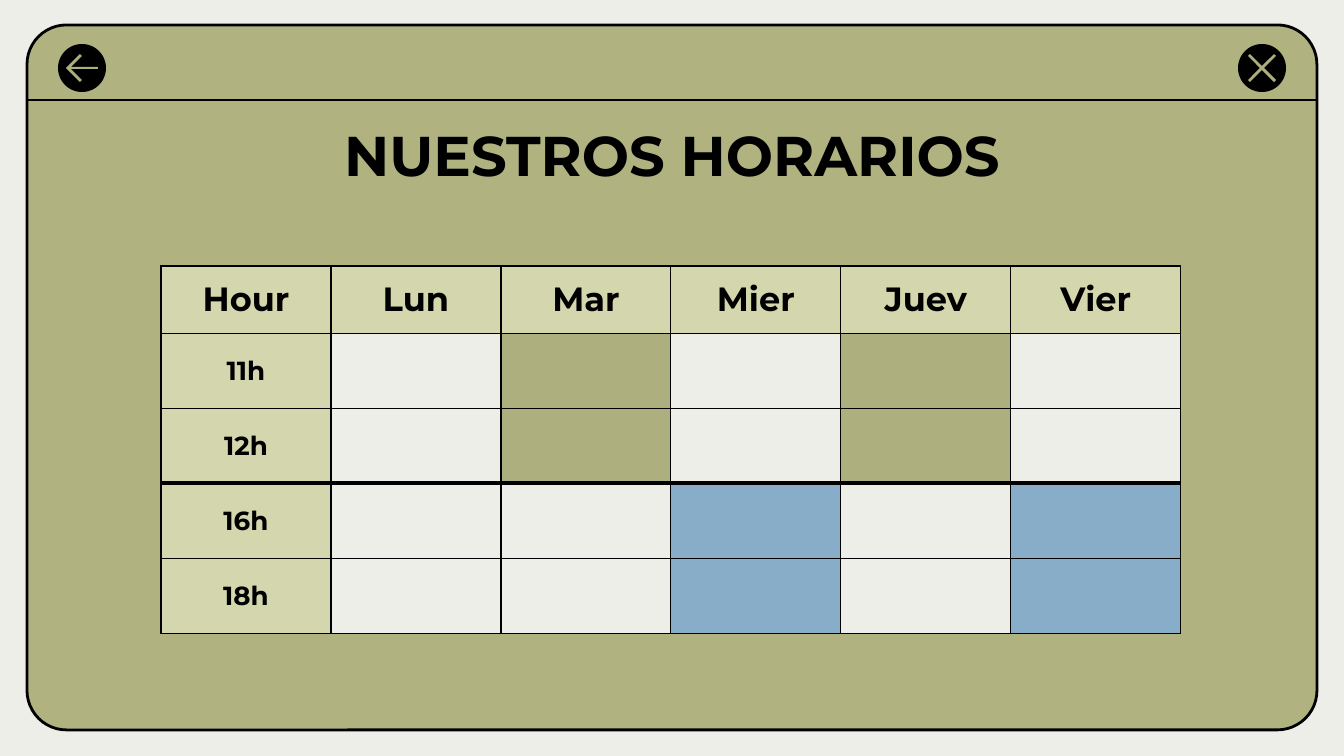
from lxml import etree
from pptx import Presentation
from pptx.dml.color import RGBColor
from pptx.enum.shapes import MSO_CONNECTOR, MSO_SHAPE
from pptx.enum.text import MSO_ANCHOR, PP_ALIGN
from pptx.oxml import parse_xml
from pptx.oxml.ns import nsdecls, qn
from pptx.util import Emu, Pt

SCALE = 9144000 / 1344
COLORS = {
    "paper": "EEEEE9",
    "window": "B0B380",
    "olive": "ADAF7E",
    "header": "D4D7AD",
    "blue": "88ADC8",
    "ink": "000000",
}


def px(*lengths):
    """Turn px lengths into a list of EMU."""
    return [Emu(round(length * SCALE)) for length in lengths]


def paint(shape, color):
    shape.shadow.inherit = False
    shape.fill.solid()
    shape.fill.fore_color.rgb = RGBColor.from_string(COLORS[color])
    shape.line.fill.background()


ink = RGBColor.from_string(COLORS["ink"])
prs = Presentation()
prs.slide_width, prs.slide_height = px(1344, 756)
slide = prs.slides.add_slide(prs.slide_layouts[6])
slide.background.fill.solid()
slide.background.fill.fore_color.rgb = RGBColor.from_string(COLORS["paper"])
shapes = slide.shapes

# Window frame and its top bar
window = shapes.add_shape(MSO_SHAPE.ROUNDED_RECTANGLE, *px(27, 25, 1290, 705))
window.adjustments[0] = 0.056
paint(window, "window")
bar_edge = shapes.add_connector(MSO_CONNECTOR.STRAIGHT, *px(27, 100, 1317, 100))
etree.SubElement(bar_edge._element.spPr, qn("a:effectLst"))
for outlined in (window, bar_edge):
    outlined.line.color.rgb = ink
    outlined.line.width = Pt(1.5)

# Round buttons, with icon outlines measured from the button's centre
cross = [(-12, -14), (-14, -12), (-2, 0), (-14, 12), (-12, 14), (0, 2),
         (12, 14), (14, 12), (2, 0), (14, -12), (12, -14), (0, -2)]
back_arrow = [(-2, -14), (-16, 0), (-2, 14), (0, 12), (-11, 1),
              (16, 1), (16, -1), (-11, -1), (0, -12)]
button_y, radius = 68, 24
for button_x, outline in ((1262, cross), (82, back_arrow)):
    button = shapes.add_shape(
        MSO_SHAPE.OVAL,
        *px(button_x - radius, button_y - radius, 2 * radius, 2 * radius))
    paint(button, "ink")
    points = [(button_x + dx, button_y + dy) for dx, dy in outline]
    builder = shapes.build_freeform(*points[0], scale=SCALE)
    builder.add_line_segments(points[1:], close=True)
    paint(builder.convert_to_shape(), "olive")

# Title
title = shapes.add_textbox(*px(105, 121, 1134, 83)).text_frame
title.word_wrap = True
title.vertical_anchor = MSO_ANCHOR.MIDDLE
title.margin_left = title.margin_right = title.margin_top = title.margin_bottom = Pt(7.2)
title.text = "NUESTROS HORARIOS"
heading = title.paragraphs[0]
heading.alignment = PP_ALIGN.CENTER
heading.line_spacing = 0.7
heading.runs[0].font.size = Pt(30)

# Timetable
days = ["Hour", "Lun", "Mar", "Mier", "Juev", "Vier"]
hours = ["11h", "12h", "16h", "18h"]
morning = ["header", "paper", "olive", "paper", "olive", "paper"]
afternoon = ["header", "paper", "paper", "blue", "paper", "blue"]
fills = [["header"] * 6, morning, morning, afternoon, afternoon]
row_heights = px(67, 75, 75, 75, 75)
last_morning_row = 2

timetable = shapes.add_table(5, 6, *px(161, 266, 1021, 367)).table
timetable.first_row = timetable.horz_banding = False
for column, width in zip(timetable.columns, px(*[170] * 6)):
    column.width = width
for r, row in enumerate(timetable.rows):
    row.height = row_heights[r]
    for c, cell in enumerate(row.cells):
        cell.vertical_anchor = MSO_ANCHOR.MIDDLE
        cell.margin_left = cell.margin_right = cell.margin_top = cell.margin_bottom = Pt(7.2)
        if r == 0 or c == 0:
            cell.text = days[c] if r == 0 else hours[r - 1]
            label = cell.text_frame.paragraphs[0]
            label.alignment = PP_ALIGN.CENTER
            label.runs[0].font.size = Pt(18 if r == 0 else 14)
        for side in ("lnL", "lnR", "lnT", "lnB"):
            thick = (r, side) in ((last_morning_row, "lnB"), (last_morning_row + 1, "lnT"))
            cell._tc.get_or_add_tcPr().append(parse_xml(
                f'<a:{side} {nsdecls("a")} w="{Pt(2.25 if thick else 0.75)}"><a:solidFill>'
                f'<a:srgbClr val="{COLORS["ink"]}"/></a:solidFill></a:{side}>'))
        cell.fill.solid()
        cell.fill.fore_color.rgb = RGBColor.from_string(COLORS[fills[r][c]])

# One typeface for the title and the table
frames = [title] + [cell.text_frame for cell in timetable.iter_cells()]
for frame in frames:
    for run in frame.paragraphs[0].runs:
        run.font.name = "Montserrat"
        run.font.bold = True
        run.font.color.rgb = ink

prs.save("out.pptx")
